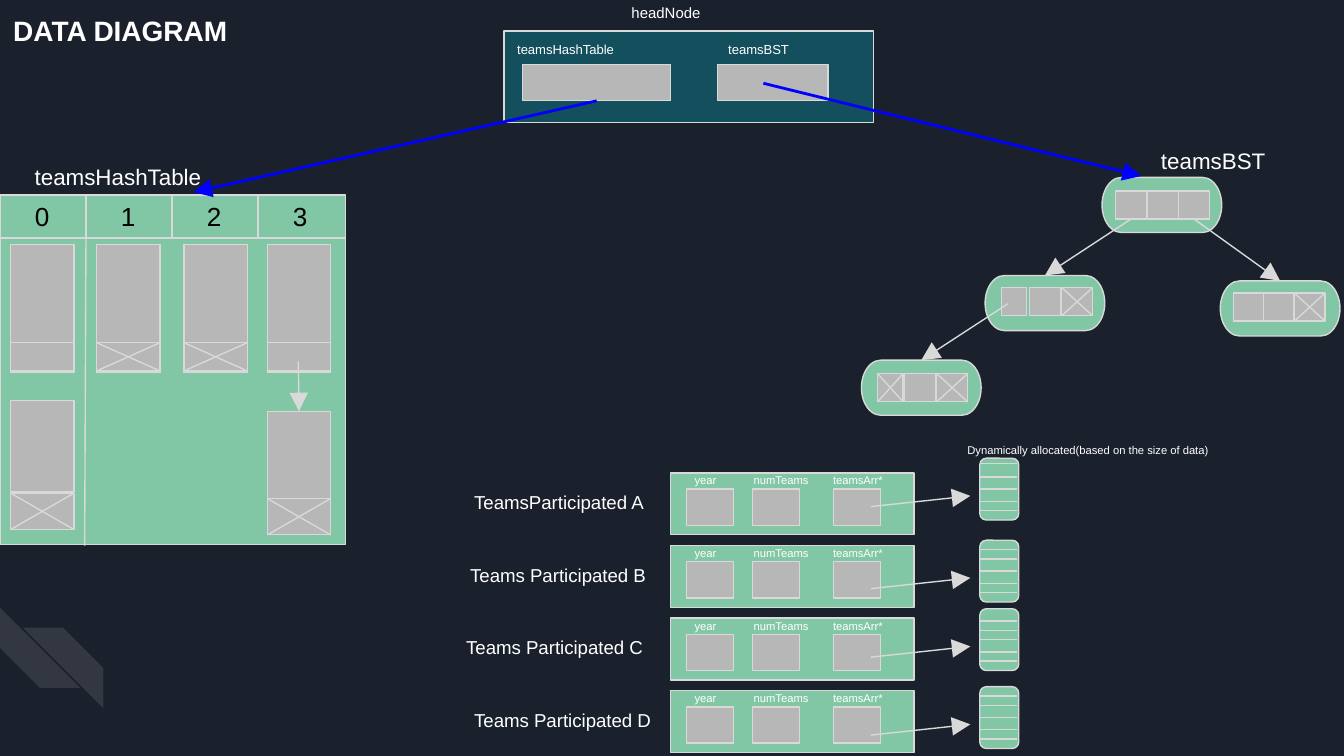
from lxml.etree import SubElement
from pptx import Presentation
from pptx.dml.color import RGBColor
from pptx.enum.shapes import MSO_CONNECTOR, MSO_SHAPE
from pptx.enum.text import MSO_ANCHOR, PP_ALIGN
from pptx.oxml.ns import qn
from pptx.util import Inches, Pt

COLORS = {
    "background": "1B212C", "green": "82C7A5", "gray": "B7B7B7", "teal": "134F5C",
    "outline": "D9D9D9", "pointer": "0000FF", "white": "FFFFFF", "black": "000000",
}
TOP, BOTTOM = 0, 2


def color(name):
    return RGBColor.from_string(COLORS[name])


def add_box(page, left, top, width, height, fill="gray", kind=MSO_SHAPE.RECTANGLE):
    box = page.shapes.add_shape(kind, Inches(left), Inches(top), Inches(width), Inches(height))
    box.shadow.inherit = False
    box.fill.solid()
    box.fill.fore_color.rgb = color(fill)
    box.line.color.rgb = color("outline")
    box.line.width = Pt(0.75)
    return box


def write(box, text, size, fill="white", bold=False, indent=0.1):
    """Fill a box with one line; small text sits slightly lower."""
    frame = box.text_frame
    frame.word_wrap = True
    frame.margin_right = frame.margin_bottom = Inches(0.1)
    frame.margin_top = Inches(0.1) + Pt(max(0, 13 - size) / 2)
    frame.margin_left = Inches(indent)
    para = frame.paragraphs[0]
    para.alignment = PP_ALIGN.LEFT
    span = para.add_run()
    span.text = text
    span.font.name = "Arial"
    span.font.size = Pt(size)
    span.font.bold = bold
    span.font.color.rgb = color(fill)


def add_label(page, left, top, width, height, text, size, bold=False):
    label = page.shapes.add_textbox(Inches(left), Inches(top), Inches(width), Inches(height))
    write(label, text, size, bold=bold)


def add_line(page, start, end, arrow=False, stroke="outline", width=0.75):
    points = [Inches(value) for value in (*start, *end)]
    line = page.shapes.add_connector(MSO_CONNECTOR.STRAIGHT, *points)
    line.line.color.rgb = color(stroke)
    line.line.width = Pt(width)
    if arrow:
        SubElement(line.line._get_or_add_ln(), qn("a:tailEnd"), type="triangle", w="lg", len="lg")
    SubElement(line._element.spPr, qn("a:effectLst"))
    return line


def add_crossed_box(page, left, top, width, height):
    """Draw a null pointer: a box with both diagonals."""
    box = add_box(page, left, top, width, height)
    right, bottom = left + width, top + height
    add_line(page, (left, top), (right, bottom))
    add_line(page, (right, top), (left, bottom))
    return box


def add_corner_stripes(page, left, top):
    for dx, dy, flipped in ((0, 0, False), (0.17, 0.15, True)):
        stripe = add_box(page, left + dx, top + dy, 0.6, 0.6, "white", MSO_SHAPE.DIAGONAL_STRIPE)
        stripe.adjustments[0] = 0.5
        stripe.line.fill.background()
        tint = stripe._element.spPr.find(qn("a:solidFill")).find(qn("a:srgbClr"))
        SubElement(tint, qn("a:alpha"), val="10000")
        if flipped:
            stripe._element.spPr.find(qn("a:xfrm")).set("flipH", "1")
        else:
            stripe.rotation = 270


def add_head_node(page, left, top):
    """Return the hash table field, where a pointer starts."""
    add_label(page, left + 0.85, top - 0.29, 1.52, 0.21, "headNode", 8)
    add_box(page, left, top, 2.75, 0.68, "teal")
    table_field = add_box(page, left + 0.14, top + 0.25, 1.1, 0.27)
    add_box(page, left + 1.59, top + 0.25, 0.82, 0.27)
    add_label(page, left, top, 1.47, 0.32, "teamsHashTable", 7)
    add_label(page, left + 1.57, top, 1.21, 0.32, "teamsBST", 7)
    return table_field


def add_entry(page, left, top, data_height, link_top, link_height, is_last):
    """Draw a list entry with its link field and return the data box."""
    data = add_box(page, left, top, 0.47, data_height)
    draw_link = add_crossed_box if is_last else add_box
    draw_link(page, left, top + link_top, 0.47, link_height)
    return data


def add_hash_table(page, left, top):
    add_label(page, left + 0.16, top - 0.34, 1.83, 0.21, "teamsHashTable", 12)
    add_box(page, left, top + 0.32, 2.57, 2.28, "green")
    for index, entry_left in enumerate((0.08, 0.72, 1.37, 1.99)):
        header = add_box(page, left + index * 0.64, top, 0.65, 0.32, "green")
        header.text_frame.vertical_anchor = MSO_ANCHOR.MIDDLE
        write(header, str(index), 14, "black", indent=0.26)
        add_entry(page, left + entry_left, top + 0.37, 0.95, 0.73, 0.21, index in (1, 2))
    add_entry(page, left + 0.08, top + 1.53, 0.68, 0.69, 0.27, True)
    chained = add_entry(page, left + 1.99, top + 1.61, 0.68, 0.65, 0.27, True)
    link = add_line(page, (left + 2.22, top + 1.24), (left + 2.23, top + 1.61), arrow=True)
    link.end_connect(chained, TOP)
    add_line(page, (left + 0.64, top + 0.32), (left + 0.63, top + 2.61))


def add_tree_node(page, left, top, cells, cell_top=0.1, empty=()):
    """Draw a node from (offset, width) cells; return its body and cells."""
    body = add_box(page, left, top, 0.89, 0.41, "green", MSO_SHAPE.FLOWCHART_TERMINATOR)
    fields = []
    for index, (offset, width) in enumerate(cells):
        draw_cell = add_crossed_box if index in empty else add_box
        fields.append(draw_cell(page, left + offset, top + cell_top, width, 0.21))
    return body, fields


def add_tree(page, left, top):
    add_label(page, left + 2.13, top - 0.33, 1.17, 0.21, "teamsBST", 12)
    _, root_fields = add_tree_node(
        page, left + 1.79, top, ((0.1, 0.23), (0.34, 0.23), (0.57, 0.23)))
    left_child, _ = add_tree_node(
        page, left + 0.92, top + 0.73, ((0.12, 0.19), (0.33, 0.23), (0.57, 0.23)), 0.09, (2,))
    right_child, _ = add_tree_node(
        page, left + 2.67, top + 0.77, ((0.1, 0.23), (0.32, 0.23), (0.55, 0.23)), 0.09, (2,))
    leaf, _ = add_tree_node(
        page, left, top + 1.36, ((0.12, 0.19), (0.32, 0.23), (0.56, 0.23)), 0.1, (0, 2))
    for field, child in ((root_fields[0], left_child), (root_fields[2], right_child)):
        link = add_line(page, (left, top), (left, top), arrow=True)
        link.begin_connect(field, BOTTOM)
        link.end_connect(child, TOP)
    link = add_line(page, (left + 1.09, top + 0.94), (left + 0.45, top + 1.36), arrow=True)
    link.end_connect(leaf, TOP)


def add_record(page, left, top, title, title_left):
    add_box(page, left, top, 1.81, 0.46, "green")
    add_label(page, title_left, top + 0.04, 2.3, 0.37, title, 10)
    fields = (("year", 0.12, 0.08, 0.45), ("numTeams", 0.61, 0.52, 0.76),
              ("teamsArr*", 1.21, 1.11, 0.76))
    for name, box_left, name_left, name_width in fields:
        add_box(page, left + box_left, top + 0.12, 0.35, 0.27)
        add_label(page, left + name_left, top - 0.07, name_width, 0.32, name, 6)


def add_array(page, left, top, upper_rules):
    """Draw an allocated array and the arrow that reaches it."""
    add_box(page, left, top, 0.29, 0.46, "green", MSO_SHAPE.ROUNDED_RECTANGLE)
    for offset in (*upper_rules, 0.23, 0.32, 0.39):
        add_line(page, (left, top + offset), (left + 0.28, top + offset))
    add_line(page, (left - 0.81, top + 0.36), (left - 0.07, top + 0.28), arrow=True)


def add_records(page, left, top):
    rows = (
        ("TeamsParticipated A", 3.43, 3.41, (0.04, 0.14)),
        ("Teams Participated B", 3.4, 4.02, (0.07, 0.14)),
        ("Teams Participated C", 3.37, 4.53, (0.09, 0.16)),
        ("Teams Participated D", 3.43, 5.11, (0.07, 0.14)),
    )
    for index, (title, title_left, array_top, upper_rules) in enumerate(rows):
        add_record(page, left, top + index * 0.54, title, title_left)
        add_array(page, left + 2.3, array_top, upper_rules)
    add_label(page, left + 2.11, top - 0.3, 2.2, 0.21,
              "Dynamically allocated(based on the size of data)", 6)


def main():
    deck = Presentation()
    deck.slide_width = Inches(10)
    deck.slide_height = deck.slide_width * 9 // 16
    page = deck.slides.add_slide(deck.slide_layouts[6])
    page.background.fill.solid()
    page.background.fill.fore_color.rgb = color("background")

    add_corner_stripes(page, 0, 4.52)
    add_records(page, 4.99, 3.52)
    add_label(page, 0, 0, 1.99, 0.56, "DATA DIAGRAM", 15, bold=True)
    table_field = add_head_node(page, 3.75, 0.23)
    add_tree(page, 6.41, 1.32)
    add_line(page, (5.68, 0.62), (8.49, 1.31), True, "pointer", 1.5)
    add_hash_table(page, 0, 1.45)
    table_pointer = add_line(page, (4.44, 0.75), (1.44, 1.43), True, "pointer", 1.5)
    table_pointer.begin_connect(table_field, BOTTOM)
    deck.save("out.pptx")


if __name__ == "__main__":
    main()
